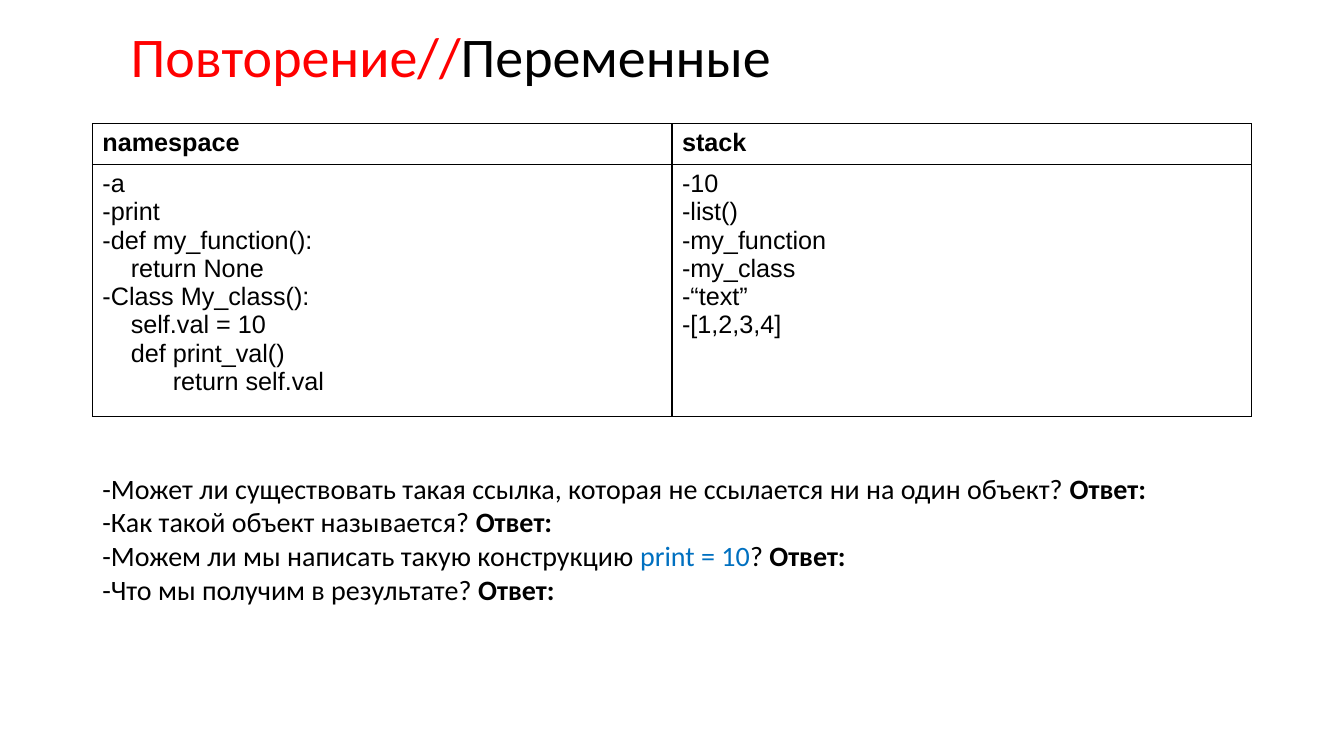
"""Build the slide about variables, namespace and stack."""
from dataclasses import dataclass

from lxml import etree
from pptx import Presentation
from pptx.dml.color import RGBColor
from pptx.enum.text import MSO_ANCHOR
from pptx.oxml.ns import qn
from pptx.util import Pt

PX = 9525
MIDDLE, TOP = MSO_ANCHOR.MIDDLE, MSO_ANCHOR.TOP
COLORS = {"black": "000000", "white": "FFFFFF", "red": "FF0000", "blue": "0070C0"}


@dataclass(frozen=True)
class Run:
    text: str
    color: str = "black"
    bold: bool = False


@dataclass(frozen=True)
class Para:
    runs: tuple[Run, ...]
    indent: int = 0
    spacing: float = 1.0


@dataclass(frozen=True)
class TextBox:
    box: tuple[int, int, int, int]
    paras: list[Para]
    size: int
    anchor: MSO_ANCHOR = TOP


@dataclass(frozen=True)
class Column:
    head: str
    lines: list[tuple[str, int]]


def question(*runs: Run) -> Para:
    return Para((*runs, Run("Ответ:", bold=True)))


TITLE = TextBox(
    (115, 30, 1056, 53),
    [Para((Run("Повторение//", "red"), Run("Переменные")), spacing=0.9)],
    40,
    MIDDLE,
)
QUESTIONS = TextBox(
    (88, 444, 1104, 168),
    [
        question(Run("-Может ли существовать такая ссылка, которая не ссылается ни на один объект? ")),
        question(Run("-Как такой объект называется? ")),
        question(
            Run("-Можем ли мы написать такую конструкцию "),
            Run("print = 10", "blue"),
            Run("? "),
        ),
        question(Run("-Что мы получим в результате? ")),
    ],
    20,
)
TABLE_BOX = (88, 118, 1104, 264)
ROW_HEIGHTS = (39, 225)
STEP, DEEP_STEP = 27, 67
COLUMNS = [
    Column("namespace", [
        ("-a", 0),
        ("-print", 0),
        ("-def my_function():", 0),
        ("return None", STEP),
        ("-Class My_class():", 0),
        ("self.val = 10", STEP),
        ("def print_val()", STEP),
        ("return self.val", DEEP_STEP),
    ]),
    Column("stack", [
        (text, 0)
        for text in ("-10", "-list()", "-my_function", "-my_class", "-“text”", "-[1,2,3,4]")
    ]),
]


def rgb(name: str) -> RGBColor:
    return RGBColor.from_string(COLORS[name])


def write(tf, paras: list[Para], font: str, size: int) -> None:
    for i, para in enumerate(paras):
        p = tf.add_paragraph() if i else tf.paragraphs[0]
        p.line_spacing = para.spacing
        if para.indent:
            p._p.get_or_add_pPr().set("marL", str(para.indent * PX))
        for run in para.runs:
            r = p.add_run()
            r.text = run.text
            r.font.color.rgb = rgb(run.color)
            for name, value in {"name": font, "size": Pt(size), "bold": run.bold}.items():
                setattr(r.font, name, value)


def add_text(slide, item: TextBox) -> None:
    tf = slide.shapes.add_textbox(*(v * PX for v in item.box)).text_frame
    for name, value in {"word_wrap": True, "vertical_anchor": item.anchor}.items():
        setattr(tf, name, value)
    write(tf, item.paras, "Calibri", item.size)


def style_cell(cell) -> None:
    tcPr = cell._tc.get_or_add_tcPr()
    for side in ("lnL", "lnR", "lnT", "lnB"):
        ln = etree.SubElement(tcPr, qn(f"a:{side}"), w=str(Pt(1)))
        fill = etree.SubElement(ln, qn("a:solidFill"))
        etree.SubElement(fill, qn("a:srgbClr"), val=COLORS["black"])
    cell.fill.solid()
    cell.fill.fore_color.rgb = rgb("white")


def add_grid(slide, columns: list[Column]) -> None:
    box = (v * PX for v in TABLE_BOX)
    table = slide.shapes.add_table(len(ROW_HEIGHTS), len(columns), *box).table
    for name in ("first_row", "horz_banding"):
        setattr(table, name, False)
    for row, height in zip(table.rows, ROW_HEIGHTS):
        row.height = height * PX
    for c, column in enumerate(columns):
        head = [Para((Run(column.head, bold=True),))]
        body = [Para((Run(text),), indent) for text, indent in column.lines]
        for r, paras in enumerate((head, body)):
            cell = table.cell(r, c)
            style_cell(cell)
            write(cell.text_frame, paras, "Arial", 18)


def main() -> None:
    prs = Presentation()
    prs.slide_width, prs.slide_height = 1280 * PX, 720 * PX
    slide = prs.slides.add_slide(prs.slide_layouts[6])
    add_text(slide, TITLE)
    add_grid(slide, COLUMNS)
    add_text(slide, QUESTIONS)
    prs.save("out.pptx")


if __name__ == "__main__":
    main()
